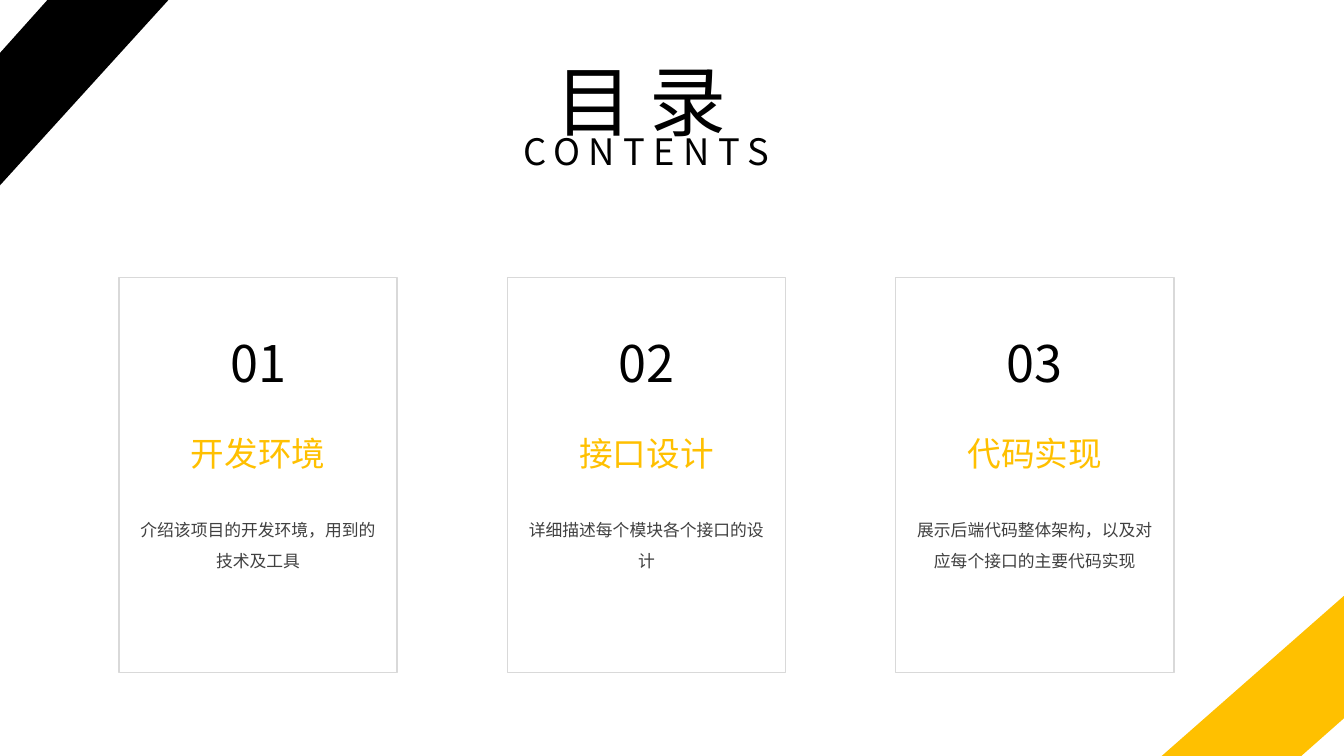
from lxml import etree
from pptx import Presentation
from pptx.dml.color import RGBColor
from pptx.enum.shapes import MSO_SHAPE as Shape
from pptx.enum.text import MSO_ANCHOR as Anchor, MSO_AUTO_SIZE as AutoSize, PP_ALIGN as Align
from pptx.oxml.ns import qn
from pptx.util import Pt

FONT = "Noto Sans CJK SC"
BLACK, YELLOW, GRAY, BORDER = "000000", "FFC000", "404040", "D9D9D9"


def color(hex_value):
    return RGBColor.from_string(hex_value)


def format_paragraph(paragraph, size, hex_value):
    paragraph.alignment = Align.CENTER
    for run in paragraph.runs:
        run.font.size = Pt(size)
        run.font.name = FONT
        run.font.color.rgb = color(hex_value)
        east_asian = etree.SubElement(run.font._element, qn("a:ea"))
        east_asian.set("typeface", FONT)


presentation = Presentation()
presentation.slide_width, presentation.slide_height = Pt(960), Pt(540)
slide = presentation.slides.add_slide(presentation.slide_layouts[5])

# Contents cards: number, heading and description in each
CARD_LEFT, CARD_TOP, CARD_WIDTH, CARD_HEIGHT, CARD_PITCH = 85, 198, 198.7, 282.2, 277.4
cards = [
    ("01", "开发环境", "介绍该项目的开发环境，用到的技术及工具"),
    ("02", "接口设计", "详细描述每个模块各个接口的设计"),
    ("03", "代码实现", "展示后端代码整体架构，以及对应每个接口的主要代码实现"),
]
# top, width, height, font size, colour, wrap, line spacing
text_rows = [
    (234, 57, 51, 36, BLACK, False, None),
    (306, 111.6, 36, 24, YELLOW, False, None),
    (360.7, 187.2, 51, 12, GRAY, True, 1.5),
]
for index, texts in enumerate(cards):
    left = CARD_LEFT + index * CARD_PITCH
    group = slide.shapes.add_group_shape()
    frame = group.shapes.add_shape(
        Shape.RECTANGLE, Pt(left), Pt(CARD_TOP), Pt(CARD_WIDTH), Pt(CARD_HEIGHT))
    frame.shadow.inherit = False
    frame.fill.background()
    frame.line.color.rgb = color(BORDER)
    frame.line.width = Pt(1)
    for text, (top, width, height, size, text_color, wrap, spacing) in zip(texts, text_rows):
        box = group.shapes.add_textbox(
            Pt(left + (CARD_WIDTH - width) / 2), Pt(top), Pt(width), Pt(height))
        text_frame = box.text_frame
        text_frame.text = text
        text_frame.word_wrap = wrap
        text_frame.auto_size = AutoSize.SHAPE_TO_FIT_TEXT
        paragraph = text_frame.paragraphs[0]
        paragraph.line_spacing = spacing
        format_paragraph(paragraph, size, text_color)

# Title
title = slide.shapes.title
title.left, title.top, title.width, title.height = Pt(324), Pt(35.3), Pt(275), Pt(88.6)
title_frame = title.text_frame
title_frame.text = "目 录\nCONTENTS"
title_frame.vertical_anchor = Anchor.MIDDLE
title_frame.auto_size = AutoSize.TEXT_TO_FIT_SHAPE
heading, subtitle = title_frame.paragraphs
trailing_space = heading.add_run()
trailing_space.text = " "
format_paragraph(heading, 60, BLACK)
trailing_space.font.size = Pt(36)
format_paragraph(subtitle, 28, BLACK)
subtitle.runs[0].font._element.set("spc", "600")

# Diagonal corner bands
bands = [
    (BLACK, [(178.6, -64.1), (-79.9, 220.3), (-114.5, 165.6), (108.7, -83.5)]),
    (YELLOW, [(1064.2, 334.1), (761.8, 599.8), (830.9, 627.1), (1095.1, 393.8)]),
]
for band_color, corners in bands:
    points = [(Pt(x), Pt(y)) for x, y in corners]
    builder = slide.shapes.build_freeform(*points[0])
    builder.add_line_segments(points[1:], close=True)
    band = builder.convert_to_shape()
    band.shadow.inherit = False
    band.fill.solid()
    band.fill.fore_color.rgb = color(band_color)
    band.line.fill.background()

presentation.save("out.pptx")
